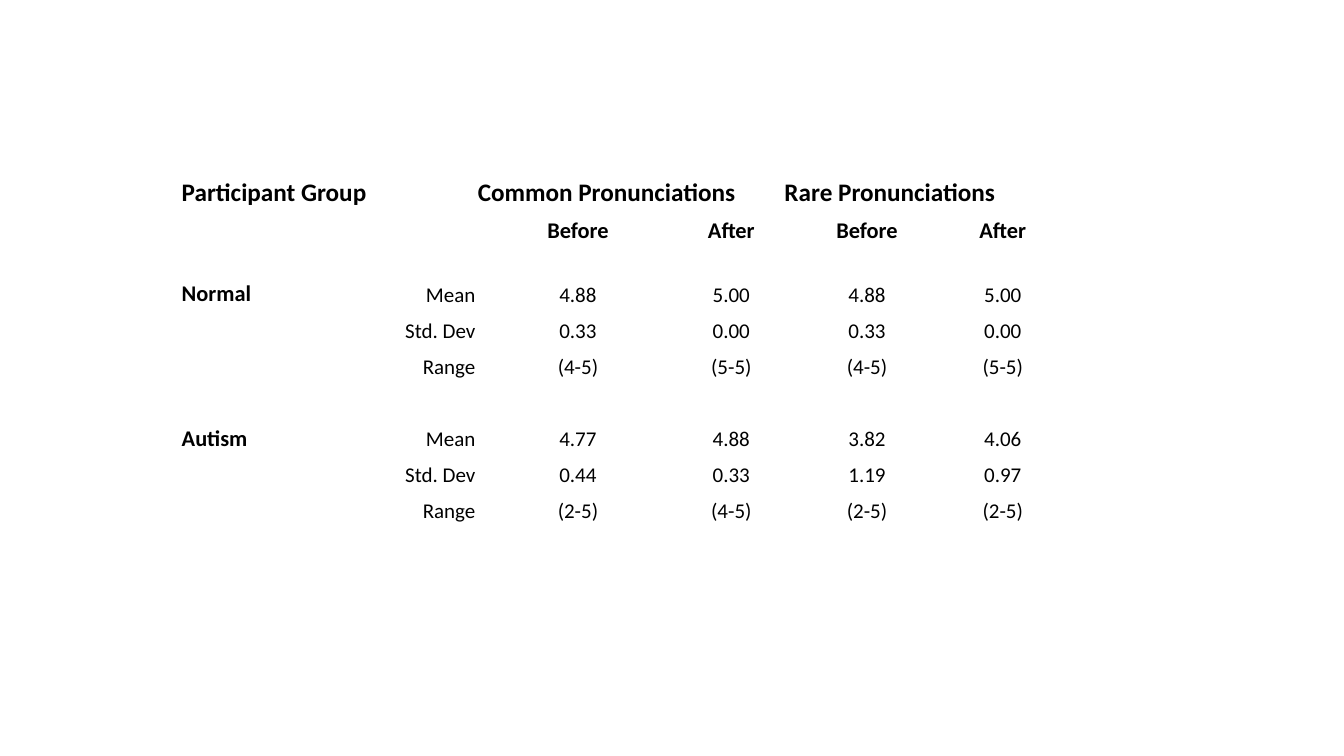
from dataclasses import dataclass

import lxml.etree
import pptx
import pptx.dml.color
import pptx.enum.text
import pptx.oxml.ns
import pptx.table
import pptx.util

Cm = pptx.util.Cm
Align = pptx.enum.text.PP_ALIGN


@dataclass(frozen=True)
class Theme:
    font: str = "Calibri"
    text: str = "000000"
    fill: str = "FFFFFF"
    header: float = 18
    label: float = 16
    value: float = 15


@dataclass(frozen=True)
class Style:
    size: float
    bold: bool
    align: Align


@dataclass(frozen=True)
class Group:
    name: str
    first_row: int
    stats: dict[str, tuple[str, ...]]


THEME = Theme()
HEADER = Style(THEME.header, True, Align.LEFT)
SUBHEADER = Style(THEME.label, True, Align.CENTER)
GROUP_NAME = Style(THEME.label, True, Align.LEFT)
STAT_NAME = Style(THEME.value, False, Align.RIGHT)
VALUE = Style(THEME.value, False, Align.CENTER)

COL_WIDTHS = (3.73, 3.73, 5.11, 2.62, 4.22, 2.62)
ROW_HEIGHTS = (1.04, 0.91, 0.68) + (0.91,) * 7
HEADERS = ("Participant Group", "Common Pronunciations", "Rare Pronunciations")
GROUPS = (
    Group("Normal", 3, {
        "Mean": ("4.88", "5.00", "4.88", "5.00"),
        "Std. Dev": ("0.33", "0.00", "0.33", "0.00"),
        "Range": ("(4-5)", "(5-5)", "(4-5)", "(5-5)"),
    }),
    Group("Autism", 7, {
        "Mean": ("4.77", "4.88", "3.82", "4.06"),
        "Std. Dev": ("0.44", "0.33", "1.19", "0.97"),
        "Range": ("(2-5)", "(4-5)", "(2-5)", "(2-5)"),
    }),
)


def prepare_cell(cell: pptx.table._Cell) -> None:
    """Fill the cell, tighten its margins and keep empty lines low."""
    cell.fill.solid()
    cell.fill.fore_color.rgb = pptx.dml.color.RGBColor.from_string(THEME.fill)
    cell.margin_left = cell.margin_right = cell.margin_top = Cm(0.03)
    cell.margin_bottom = 0
    cell.vertical_anchor = pptx.enum.text.MSO_ANCHOR.BOTTOM
    end = lxml.etree.SubElement(cell.text_frame.paragraphs[0]._p,
                                pptx.oxml.ns.qn("a:endParaRPr"))
    end.set("sz", str(int(THEME.value * 100)))


def write_cell(cell: pptx.table._Cell, text: str, style: Style) -> None:
    p = cell.text_frame.paragraphs[0]
    p.text = text
    p.alignment = style.align
    font = p.runs[0].font
    font.name = THEME.font
    font.size = pptx.util.Pt(style.size)
    font.bold = style.bold
    font.color.rgb = pptx.dml.color.RGBColor.from_string(THEME.text)


def write_group(table: pptx.table.Table, group: Group) -> None:
    write_cell(table.cell(group.first_row, 0), group.name, GROUP_NAME)
    for row, (stat, values) in enumerate(group.stats.items(), group.first_row):
        write_cell(table.cell(row, 1), stat, STAT_NAME)
        for col, value in enumerate(values, 2):
            write_cell(table.cell(row, col), value, VALUE)


prs = pptx.Presentation()
prs.slide_width, prs.slide_height = Cm(33.87), Cm(19.05)
slide = prs.slides.add_slide(prs.slide_layouts[6])

# Table grid
table = slide.shapes.add_table(
    len(ROW_HEIGHTS), len(COL_WIDTHS), Cm(4.55), Cm(4.22),
    Cm(sum(COL_WIDTHS)), Cm(sum(ROW_HEIGHTS))).table
table.first_row = table.horz_banding = False
for column, width in zip(table.columns, COL_WIDTHS):
    column.width = Cm(width)
for row, height in zip(table.rows, ROW_HEIGHTS):
    row.height = Cm(height)
for cell in table.iter_cells():
    prepare_cell(cell)

# Two header rows
for i, header in enumerate(HEADERS):
    cell = table.cell(0, 2 * i)
    cell.merge(table.cell(0, 2 * i + 1))
    write_cell(cell, header, HEADER)
for col, label in enumerate(("Before", "After") * 2, 2):
    write_cell(table.cell(1, col), label, SUBHEADER)

# Statistics of each participant group
for group in GROUPS:
    write_group(table, group)

prs.save("out.pptx")
